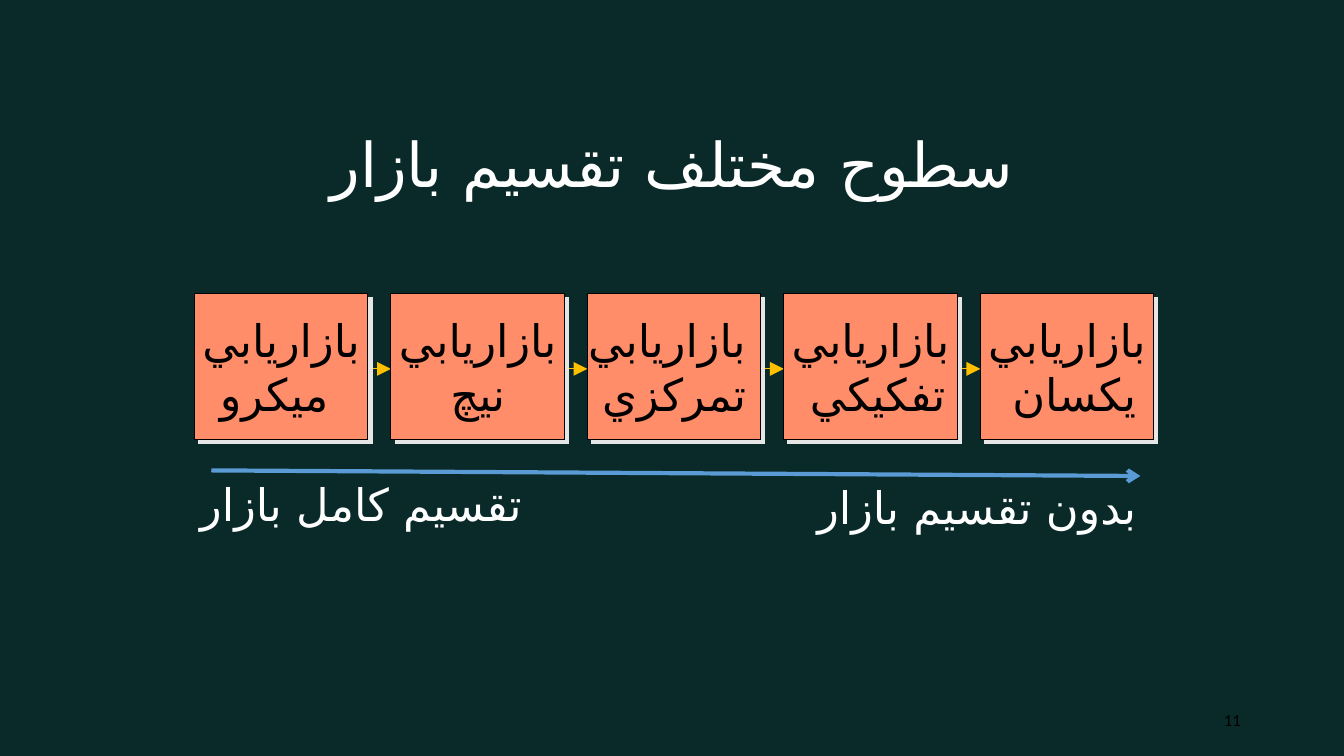
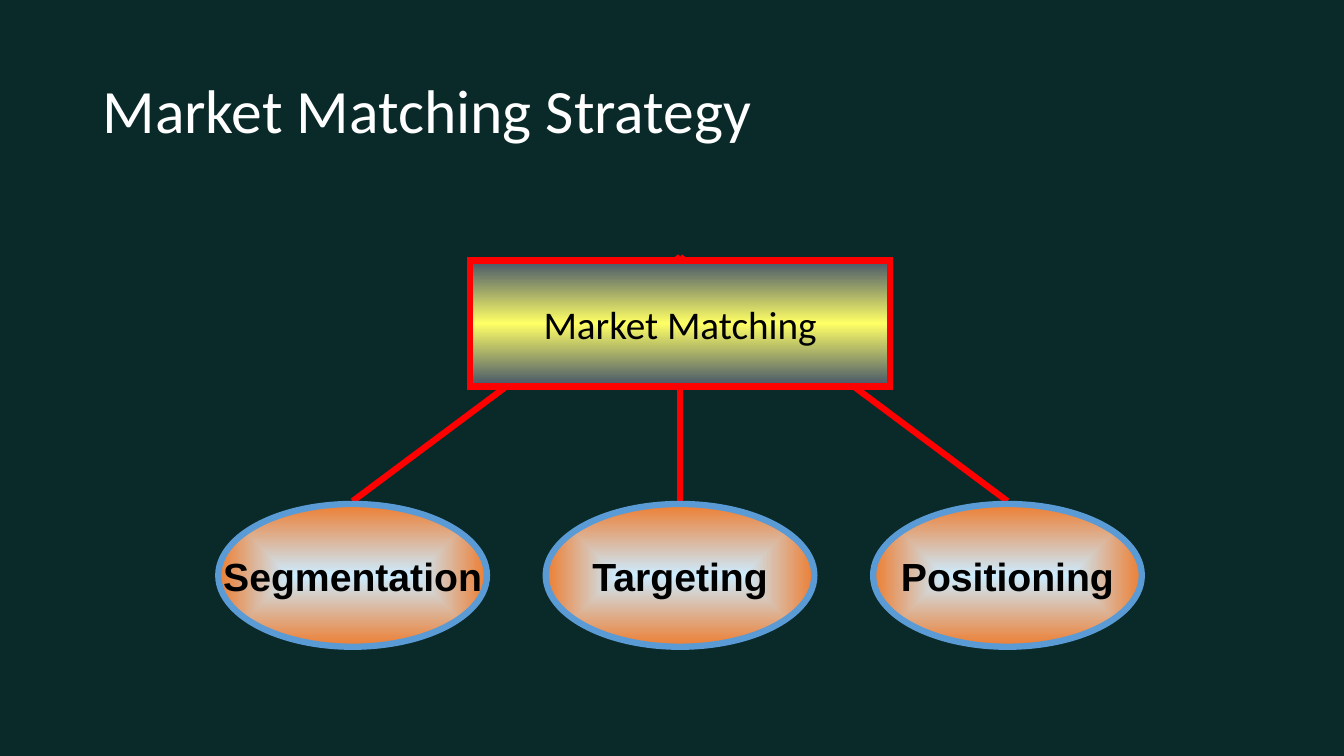
from pptx import Presentation
from pptx.dml.color import RGBColor
from pptx.enum.shapes import MSO_CONNECTOR as Link, MSO_SHAPE as Form
from pptx.enum.text import MSO_ANCHOR as Anchor, MSO_AUTO_SIZE as Fit, PP_ALIGN as Align
from pptx.oxml import parse_xml
from pptx.oxml.ns import nsdecls, qn
from pptx.util import Pt
from lxml.etree import SubElement as Sub

# Shared look
BACK, WHITE, BLACK = "0A2929", "FFFFFF", "000000"
CORAL, PALE, GOLD = "FF8D69", "E7E6E6", "FFC000"
BLUE, RED = "5B9BD5", "FF0000"
FACE, SCRIPT = "Calibri", "DejaVu Sans"  # Latin and Persian letters


def rgb(code):
    return RGBColor.from_string(code)


def write(item, text, size=32, color=BLACK, face=FACE, bold=False,
          align=Align.CENTER, wrap=False, space=None):
    """Fill a shape with text, one paragraph per line."""
    frame = item.text_frame
    frame.auto_size = Fit.NONE
    frame.word_wrap = wrap
    frame.vertical_anchor = Anchor.MIDDLE
    for n, line in enumerate(text.split("\n")):
        para = frame.add_paragraph() if n else frame.paragraphs[0]
        para.alignment = align
        if space:
            para.line_spacing = space
        run = para.add_run()
        run.text = line
        font = run.font
        font.size, font.bold, font.name = Pt(size), bold, face
        font.color.rgb = rgb(color)
        Sub(run._r.get_or_add_rPr(), qn("a:cs"), typeface=SCRIPT)


def place(item, x, y, w, h):
    item.left, item.top, item.width, item.height = Pt(x), Pt(y), Pt(w), Pt(h)


def title(slide, text, box, **style):
    head = slide.shapes.title
    place(head, *box)
    write(head, text, size=44, color=WHITE, wrap=True, **style)


def label(slide, text, box, **style):
    item = slide.shapes.add_textbox(*map(Pt, box))
    write(item, text, wrap=True, **style)


def line(slide, start, end, color, width, tip=None, size="med"):
    item = slide.shapes.add_connector(Link.STRAIGHT, *map(Pt, (*start, *end)))
    item.line.color.rgb = rgb(color)
    item.line.width = Pt(width)
    if tip:
        Sub(item.line._get_or_add_ln(), qn("a:tailEnd"),
            type=tip, w=size, len=size)
    Sub(item.element.spPr, qn("a:effectLst"))


def shape(slide, form, box, edge, width, fill=None):
    item = slide.shapes.add_shape(form, *map(Pt, box))
    item.shadow.inherit = False
    item.line.color.rgb = rgb(edge)
    item.line.width = Pt(width)
    Sub(item.line._get_or_add_ln(), qn("a:miter"), lim="800000")
    if fill:
        item.fill.solid()
        item.fill.fore_color.rgb = rgb(fill)
    return item


def blend(item, stops, mode):
    """Give a gradient fill; mode is the XML for its direction."""
    marks = "".join(f'<a:gs pos="{at * 1000}"><a:srgbClr val="{code}"/></a:gs>'
                    for at, code in stops)
    item.fill.background()
    props = item.element.spPr
    props.replace(props.find(qn("a:noFill")), parse_xml(
        f'<a:gradFill {nsdecls("a")} rotWithShape="1">'
        f'<a:gsLst>{marks}</a:gsLst>{mode}</a:gradFill>'))


def shade(item, color, dist):
    """Drop a hard shadow down and to the right."""
    cast = Sub(item.element.spPr.find(qn("a:effectLst")), qn("a:outerShdw"),
               dist=str(Pt(dist)), dir="2700000", algn="ctr", rotWithShape="0")
    Sub(cast, qn("a:srgbClr"), val=color)


def levels(slide):
    title(slide, "سطوح مختلف تقسيم بازار ", (187.5, 98, 600, 36))

    # Row of steps, with the arrows behind
    steps = [("بازاريابي\nميكرو ", FACE), ("بازاريابي\nنيچ", "Arial"),
             ("بازاريابي \nتمركزي", FACE), ("بازاريابي\n تفكيكي", FACE),
             ("بازاريابي\n يكسان", FACE)]
    left, pitch, mid = 139, 140.4, 263.5
    spots = [left + n * pitch for n in range(len(steps))]
    for x in spots[:-1]:
        line(slide, (x + 53, mid), (x + pitch, mid), GOLD, 0.75,
             "triangle", "lg")
    for x, (text, face) in zip(spots, steps):
        step = shape(slide, Form.RECTANGLE, (x, 209.5, 124, 104.5),
                     BLACK, 0.75, CORAL)
        shade(step, PALE, 4.2)
        write(step, text, face=face)

    # Scale below the row
    label(slide, "تقسيم كامل بازار", (136, 342, 288, 36),
          color=WHITE, align=Align.LEFT)
    label(slide, "بدون تقسيم بازار", (531.5, 344, 288, 36),
          color=WHITE, align=Align.RIGHT)
    line(slide, (151, 336), (815, 340), BLUE, 3, "arrow")

    # Page number
    label(slide, "11", (678, 500.5, 216, 28), size=12, align=Align.RIGHT)


def match(slide):
    title(slide, "Market Matching Strategy", (66, 29, 828, 104.5),
          align=Align.LEFT, space=0.9)

    # Spokes, with the hub on top
    hub, pitch = 486, 234
    parts = ["Segmentation", "Targeting", "Positioning"]
    spots = [hub + (n - 1) * pitch for n in range(len(parts))]
    for x in spots:
        line(slide, (x, 358), (hub, 278 if x == hub else 183.5), RED, 4.5)
    core = shape(slide, Form.RECTANGLE, (336, 186, 300, 90), RED, 4.5)
    blend(core, [(0, "44546A"), (50, "FFFF66"), (100, "44546A")],
          '<a:lin ang="5400000" scaled="1"/>')
    write(core, "Market Matching", size=28)

    # Three parts
    for x, text in zip(spots, parts):
        part = shape(slide, Form.OVAL, (x - 96, 360, 192, 102), BLUE, 4.5)
        blend(part, [(0, "CCECFF"), (100, "ED7D31")],
              '<a:path path="rect"><a:fillToRect l="50000" t="50000" '
              'r="50000" b="50000"/></a:path>')
        write(part, text, size=28, face="Arial", bold=True)


def main():
    deck = Presentation()
    deck.slide_width, deck.slide_height = Pt(960.48), Pt(540)
    fill = deck.slide_master.background.fill
    fill.solid()
    fill.fore_color.rgb = rgb(BACK)
    for build in (levels, match):
        build(deck.slides.add_slide(deck.slide_layouts[5]))
    deck.save("out.pptx")


if __name__ == "__main__":
    main()
